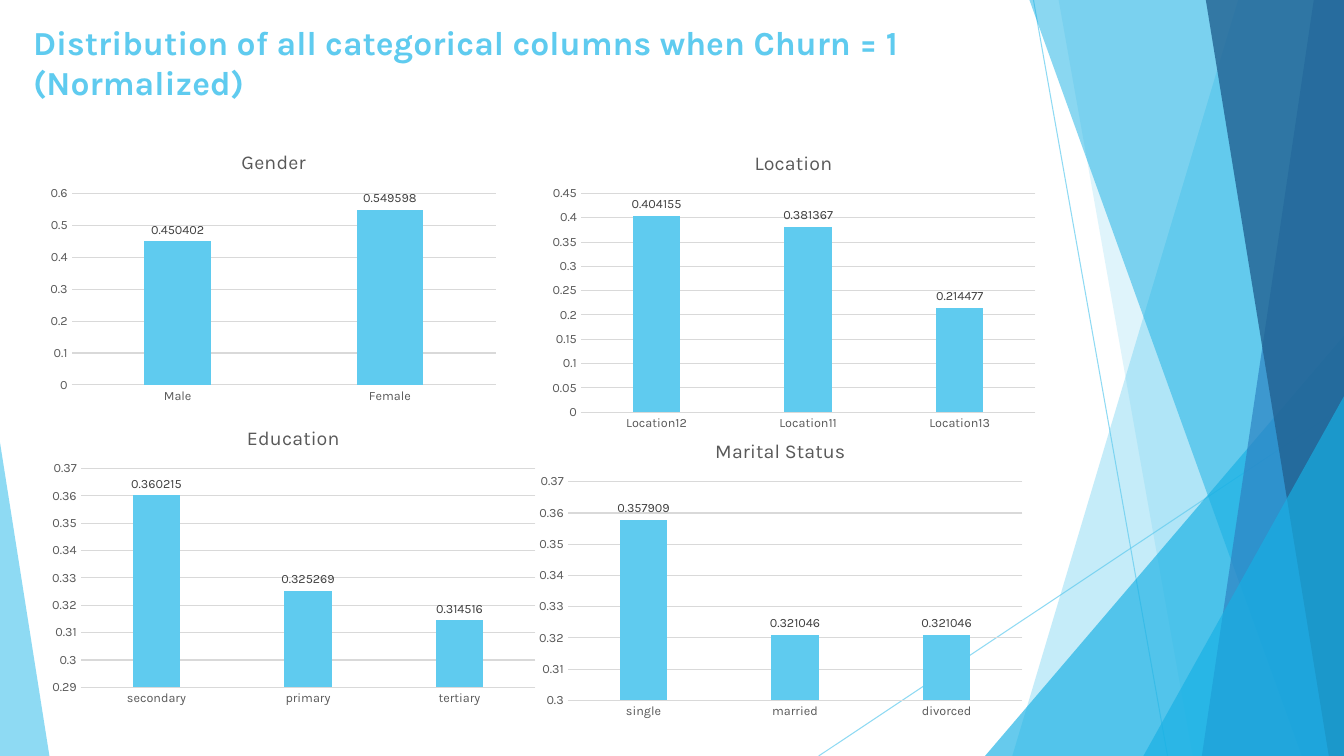
from dataclasses import dataclass

from lxml import etree
from pptx import Presentation
from pptx.chart.data import CategoryChartData
from pptx.dml.color import RGBColor
from pptx.enum.chart import XL_CHART_TYPE, XL_LABEL_POSITION, XL_TICK_MARK
from pptx.enum.shapes import MSO_CONNECTOR, MSO_SHAPE
from pptx.enum.text import MSO_ANCHOR
from pptx.oxml.ns import qn
from pptx.util import Inches, Pt

COLUMN = XL_CHART_TYPE.COLUMN_CLUSTERED
OUTSIDE = XL_LABEL_POSITION.OUTSIDE_END
NO_TICK = XL_TICK_MARK.NONE
STRAIGHT = MSO_CONNECTOR.STRAIGHT
TRIANGLE = MSO_SHAPE.ISOSCELES_TRIANGLE
TOP = MSO_ANCHOR.TOP


@dataclass(frozen=True)
class Theme:
    """Colours, type sizes and font of the slide."""
    sky: str = "5FCBEF"
    aqua: str = "17B0E4"
    blue: str = "2E83C3"
    navy: str = "226292"
    grid: str = "D9D9D9"
    grey: str = "595959"
    dark: str = "404040"
    font: str = "Karla"
    head: int = 24
    title: int = 14
    small: int = 9
    rule: float = 0.75


THEME = Theme()
WIDE, HIGH = 13.33, 7.5


def set_font(font, size, color, bold=False):
    """Give a font the theme face with a size and colour."""
    font.name = THEME.font
    font.size = Pt(size)
    font.bold = bold
    font.color.rgb = RGBColor.from_string(color)


def set_line(line, color):
    """Draw a thin line in one colour."""
    line.width = Pt(THEME.rule)
    line.color.rgb = RGBColor.from_string(color)


def set_alpha(shape, alpha):
    """Make the first solid colour of a shape see-through, in percent."""
    tint = next(shape._element.spPr.iter(qn("a:srgbClr")))
    etree.SubElement(tint, qn("a:alpha"), val=str(alpha * 1000))


def paint(shape, color, alpha):
    """Fill a shape with a translucent colour and no outline."""
    shape.shadow.inherit = False
    shape.fill.solid()
    shape.fill.fore_color.rgb = RGBColor.from_string(color)
    shape.line.fill.background()
    set_alpha(shape, alpha)


def add_ray(slide, start, end):
    """Add a thin translucent line."""
    ray = slide.shapes.add_connector(STRAIGHT, *map(Inches, start + end))
    set_line(ray.line, THEME.sky)
    set_alpha(ray, 70)
    etree.SubElement(ray._element.spPr, qn("a:effectLst"))


def add_band(slide, top, foot, color, alpha):
    """Add a slanted band that runs to the right edge of the slide."""
    points = [(WIDE, 0), (WIDE, HIGH), (foot, HIGH)]
    pen = slide.shapes.build_freeform(Inches(top), 0, scale=1.0)
    pen.add_line_segments([(Inches(x), Inches(y)) for x, y in points])
    paint(pen.convert_to_shape(), color, alpha)


def add_wedge(slide, box, tip, color, alpha):
    """Add a right triangle with its tip at the left (0) or right (1)."""
    wedge = slide.shapes.add_shape(TRIANGLE, *map(Inches, box))
    wedge.adjustments[0] = tip
    paint(wedge, color, alpha)


def add_decor(slide):
    """Add the rays, bands and wedges behind the content."""
    add_ray(slide, (10.25, 0), (11.58, HIGH))
    add_ray(slide, (WIDE, 4.03), (8.12, HIGH))
    add_band(slide, 12.28, 10.04, THEME.sky, 36)
    add_band(slide, 10.5, 11.83, THEME.sky, 20)
    add_wedge(slide, (9.77, 3.33, 3.56, 4.17), 1, THEME.aqua, 66)
    add_band(slide, 10.21, 12.91, THEME.aqua, 50)
    add_band(slide, 13.03, 11.92, THEME.blue, 70)
    add_band(slide, 11.96, 13.18, THEME.navy, 80)
    add_wedge(slide, (11.34, 3.93, 1.99, 3.57), 1, THEME.aqua, 66)
    add_wedge(slide, (0, 4.39, 0.49, 3.11), 0, THEME.sky, 70)


def add_head(slide, text):
    """Add the slide heading."""
    box = slide.shapes.add_textbox(*map(Inches, (0.23, 0.17, 9.4, 1.44)))
    frame = box.text_frame
    frame.word_wrap = True
    frame.vertical_anchor = TOP
    run = frame.paragraphs[0].add_run()
    run.text = text
    set_font(run.font, THEME.head, THEME.sky, True)


def set_plot(chart, size, left):
    """Pin the inner plot area with fixed margins in inches."""
    wide, high = size
    top, right, foot = 0.58, 0.1, 0.25
    area = chart._chartSpace.chart.plotArea
    for old in area.findall(qn("c:layout")):
        area.remove(old)
    layout = etree.Element(qn("c:layout"))
    area.insert(0, layout)
    manual = etree.SubElement(layout, qn("c:manualLayout"))
    parts = {
        "layoutTarget": "inner", "xMode": "edge", "yMode": "edge",
        "x": left / wide, "y": top / high,
        "w": (wide - left - right) / wide, "h": (high - top - foot) / high,
    }
    for name, value in parts.items():
        etree.SubElement(manual, qn(f"c:{name}"), val=str(value))


def set_axes(chart, low, high, step):
    """Style both axes and set the value scale."""
    for axis in (chart.category_axis, chart.value_axis):
        axis.major_tick_mark = axis.minor_tick_mark = NO_TICK
        set_font(axis.tick_labels.font, THEME.small, THEME.grey)
    set_line(chart.category_axis.format.line, THEME.grid)
    axis = chart.value_axis
    axis.format.line.fill.background()
    axis.has_major_gridlines = True
    set_line(axis.major_gridlines.format.line, THEME.grid)
    axis.minimum_scale, axis.maximum_scale, axis.major_unit = low, high, step


def add_bars(slide, name, box, rows, scale, left=0.39):
    """Add one titled column chart with value labels."""
    data = CategoryChartData()
    data.categories = list(rows)
    data.add_series("Series 1", list(rows.values()))
    frame = slide.shapes.add_chart(COLUMN, *map(Inches, box), data)
    chart = frame.chart
    set_font(chart.font, THEME.small, THEME.grey)
    chart.has_legend = False
    chart.has_title = True
    run = chart.chart_title.text_frame.paragraphs[0].add_run()
    run.text = name
    set_font(run.font, THEME.title, THEME.grey)
    set_axes(chart, *scale)
    set_plot(chart, box[2:], left)
    plot = chart.plots[0]
    plot.vary_by_categories = False
    plot.gap_width, plot.overlap = 219, -27
    fill = plot.series[0].format.fill
    fill.solid()
    fill.fore_color.rgb = RGBColor.from_string(THEME.sky)
    plot.has_data_labels = True
    labels = plot.data_labels
    labels.show_value = True
    labels.position = OUTSIDE
    set_font(labels.font, THEME.small, THEME.dark)


def main():
    """Build the slide and save it."""
    deck = Presentation()
    deck.slide_width, deck.slide_height = Inches(WIDE), Inches(HIGH)
    slide = deck.slides.add_slide(deck.slide_layouts[6])
    add_decor(slide)
    add_head(slide, "Distribution of all categorical columns when Churn = 1 (Normalized)")
    add_bars(slide, "Gender", (0.41, 1.34, 4.61, 2.73),
             {"Male": 0.450402, "Female": 0.549598}, (0, 0.6, 0.1), 0.3)
    add_bars(slide, "Location", (5.37, 1.34, 5, 3),
             {"Location12": 0.404155, "Location11": 0.381367, "Location13": 0.214477},
             (0, 0.45, 0.05))
    add_bars(slide, "Education", (0.41, 4.07, 5, 3),
             {"secondary": 0.360215, "primary": 0.325269, "tertiary": 0.314516},
             (0.29, 0.37, 0.01))
    add_bars(slide, "Marital Status", (5.24, 4.2, 5, 3),
             {"single": 0.357909, "married": 0.321046, "divorced": 0.321046},
             (0.3, 0.37, 0.01))
    deck.save("out.pptx")


if __name__ == "__main__":
    main()
